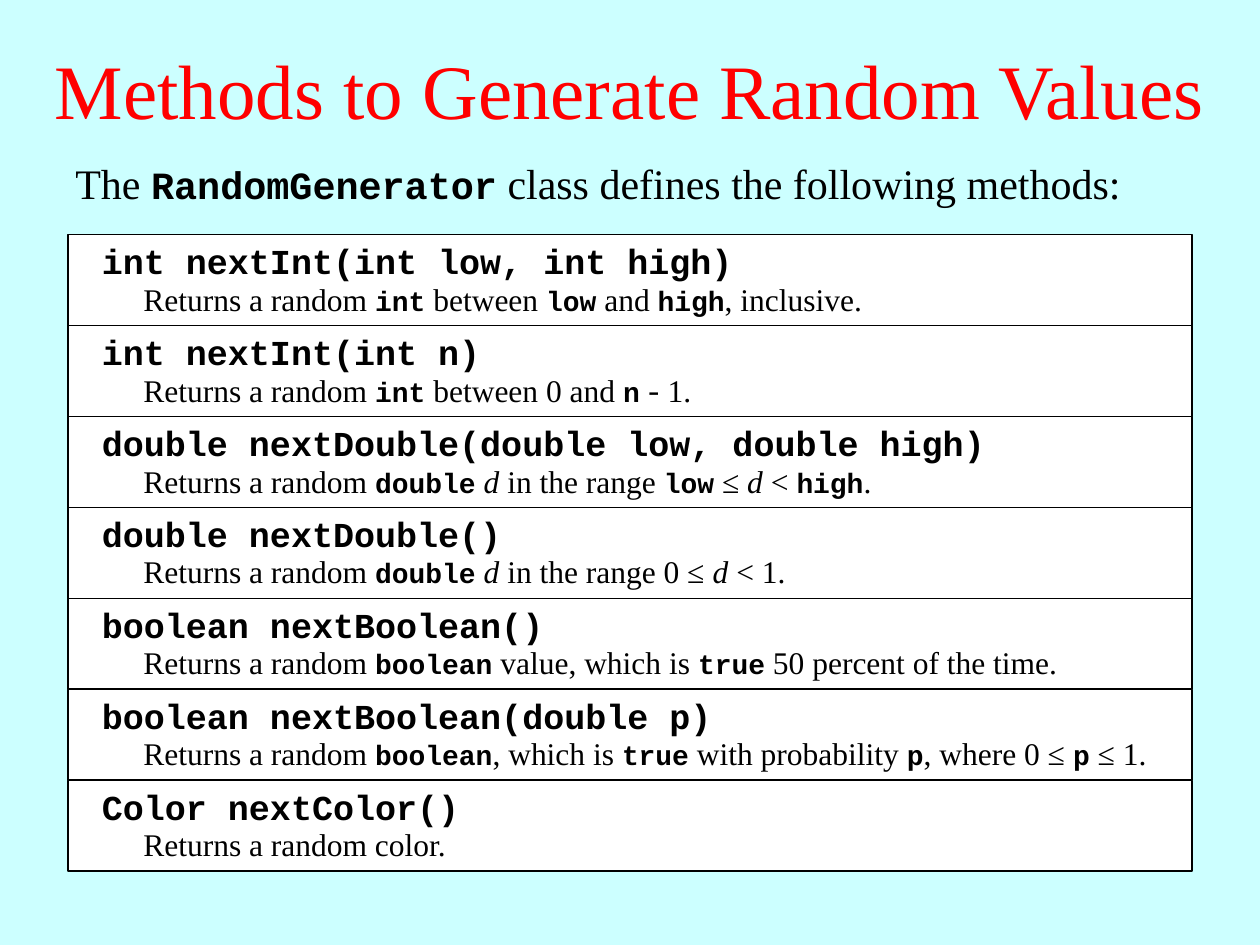
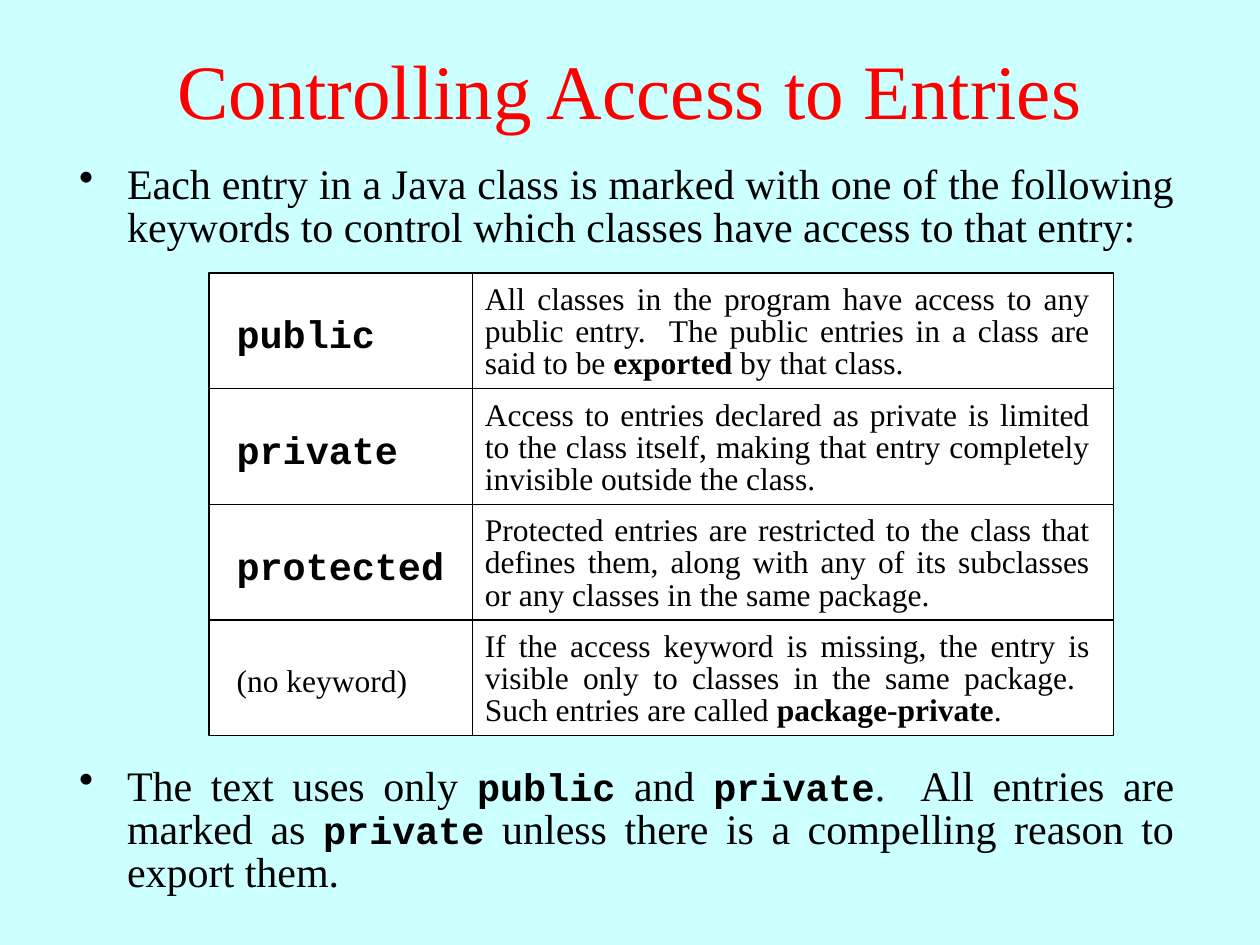
from lxml import etree
from pptx import Presentation
from pptx.dml.color import RGBColor
from pptx.enum.shapes import MSO_SHAPE
from pptx.enum.text import MSO_ANCHOR, PP_ALIGN
from pptx.oxml.ns import qn
from pptx.util import Inches, Pt

RECT = MSO_SHAPE.RECTANGLE
TOP, MIDDLE = MSO_ANCHOR.TOP, MSO_ANCHOR.MIDDLE
LEFT, CENTER, JUSTIFY = PP_ALIGN.LEFT, PP_ALIGN.CENTER, PP_ALIGN.JUSTIFY

BLACK, WHITE, RED, SKY = "000000", "FFFFFF", "FF0000", "CCFFFF"
SERIF, MONO = "Times New Roman", "Courier New"
COLS, ROWS = 100, 75  # grid laid over the 10 by 7.5 inch slide


def paint(code):
    return RGBColor.from_string(code)


class Deck:
    """Holds the style and the current slide; places are grid columns and rows."""

    def __init__(self):
        self.deck = Presentation()
        self.deck.slide_width = Inches(10)
        self.deck.slide_height = Inches(7.5)
        self.slide = None

    def place(self, x, y, w, h):
        col = self.deck.slide_width / COLS
        row = self.deck.slide_height / ROWS
        return [int(n) for n in (x * col, y * row, w * col, h * row)]

    def page(self, title):
        self.slide = self.deck.slides.add_slide(self.deck.slide_layouts[6])
        fill = self.slide.background.fill
        fill.solid()
        fill.fore_color.rgb = paint(SKY)
        self.text(title, 0, 0.8, 100, 12.5, size=44, color=RED,
                  align=CENTER, anchor=MIDDLE)

    def cell(self, x, y, w, h):
        box = self.slide.shapes.add_shape(RECT, *self.place(x, y, w, h))
        box.shadow.inherit = False
        box.fill.solid()
        box.fill.fore_color.rgb = paint(WHITE)
        box.line.color.rgb = paint(BLACK)
        box.line.width = Pt(0.75)

    def text(self, words, x, y, w, h, size=18, face=SERIF, color=BLACK, bold=False,
             align=LEFT, anchor=TOP, lead=None, bullet=False):
        box = self.slide.shapes.add_textbox(*self.place(x, y, w, h))
        frame = box.text_frame
        frame.word_wrap = True
        frame.vertical_anchor = anchor
        para = frame.paragraphs[0]
        para.alignment = align
        if bullet:
            props = para._p.get_or_add_pPr()
            props.set("marL", str(Inches(0.38)))
            props.set("indent", str(Inches(-0.38)))
            etree.SubElement(props, qn("a:buChar")).set("char", "•")
        if lead:
            para.line_spacing = lead
        font = para.font
        font.name, font.size, font.bold = face, Pt(size), bold
        font.color.rgb = paint(color)
        self.runs(para, words, size)

    def runs(self, para, words, size):
        """Odd pieces between bars open with a tag: c code, b bold, i italic,
        m plain mono, s small."""
        for spot, piece in enumerate(words.split("|")):
            tag, piece = (piece[0], piece[1:]) if spot % 2 else ("", piece)
            if not piece:
                continue
            run = para.add_run()
            run.text = piece
            if tag in ("c", "m"):
                run.font.name = MONO
            if tag in ("c", "b"):
                run.font.bold = True
            if tag == "c":
                run.font.size = Pt(size - 2)
            elif tag == "s":
                run.font.size = Pt(10)
            elif tag == "i":
                run.font.italic = True

    def point(self, words, y, h):
        self.text(words, 5.3, y, 88.9, h, size=24, align=JUSTIFY,
                  lead=0.85, bullet=True)

    def method(self, head, note, y, h):
        self.cell(5.4, y, 89.2, h)
        self.text(head, 7.1, y - 0.1, 85.8, 4.4, size=20, face=MONO, bold=True)
        self.text(note, 10.4, y + 3.1, 83.3, 4)

    def access(self, key, note, y, h):
        self.cell(16.6, y, 20.9, h)
        self.cell(37.5, y, 50.9, h)
        self.text(key, 17.8, y + 2.3, 19.7, 5, size=24 if "|" in key else 18,
                  anchor=MIDDLE)
        self.text(note, 37.5, y + 0.45, 50, 8.7, align=JUSTIFY, lead=0.85)


METHODS = [
    ("int nextInt(int low, int high)",
     "Returns a random |cint| between |clow| and |chigh|, inclusive."),
    ("int nextInt(int n)",
     "Returns a random |cint| between 0 and |cn||s ||m-||s |1."),
    ("double nextDouble(double low, double high)",
     "Returns a random |cdouble| |id| in the range |clow| ≤ |id| < |chigh|."),
    ("double nextDouble()",
     "Returns a random |cdouble| |id| in the range 0 ≤ |id| < 1."),
    ("boolean nextBoolean()",
     "Returns a random |cboolean| value, which is |ctrue| 50 percent of the time."),
    ("boolean nextBoolean(double p)",
     "Returns a random |cboolean|, which is |ctrue| with probability |cp|, "
     "where 0 ≤ |cp| ≤ 1."),
    ("Color nextColor()", "Returns a random color."),
]

ACCESS = [
    ("|cpublic|",
     "All classes in the program have access to any public entry.  The public "
     "entries in a class are said to be |bexported| by that class."),
    ("|cprivate|",
     "Access to entries declared as private is limited to the class itself, "
     "making that entry completely invisible outside the class."),
    ("|cprotected|",
     "Protected entries are restricted to the class that defines them, along "
     "with any of its subclasses or any classes in the same package."),
    ("(no keyword)",
     "If the access keyword is missing, the entry is visible only to classes in "
     "the same package.  Such entries are called |bpackage-private|."),
]


def main():
    show = Deck()

    # Random value methods
    show.page("Methods to Generate Random Values")
    show.text("The |cRandomGenerator| class defines the following methods:",
              5, 12.5, 90, 4.6, size=24, align=JUSTIFY, lead=0.9)
    high = 7.22
    for row, (head, note) in enumerate(METHODS):
        show.method(head, note, 18.6 + row * high, high)

    # Access keywords
    show.page("Controlling Access to Entries")
    show.point("Each entry in a Java class is marked with one of the following "
               "keywords to control which classes have access to that entry:",
               12.6, 12.4)
    high = 9.18
    for row, (key, note) in enumerate(ACCESS):
        show.access(key, note, 21.66 + row * high, high)
    show.point("The text uses only |cpublic| and |cprivate|.  All entries are marked "
               "as |cprivate| unless there is a compelling reason to export them.",
               60.4, 12.1)

    show.deck.save("out.pptx")


if __name__ == "__main__":
    main()
